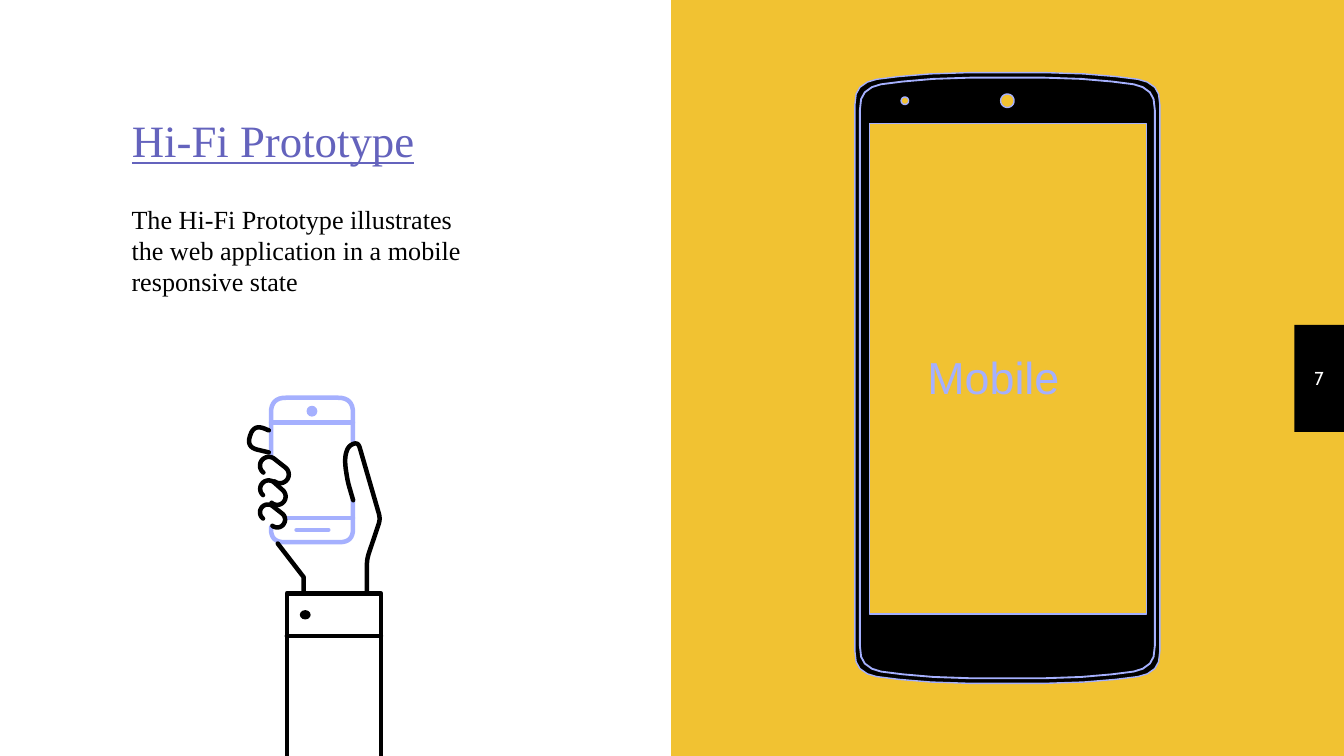
from math import atan2, cos, dist, pi, sin

from lxml.etree import SubElement
from pptx import Presentation
from pptx.dml.color import RGBColor
from pptx.enum.shapes import MSO_CONNECTOR as CONNECTOR, MSO_SHAPE as SHAPE
from pptx.enum.text import MSO_ANCHOR as ANCHOR, MSO_AUTO_SIZE as AUTO, PP_ALIGN as ALIGN
from pptx.oxml.ns import qn
from pptx.util import Pt

WIDTH, HEIGHT = 720, 405
YELLOW, BLACK, WHITE = "F1C232", "000000", "FFFFFF"
LAVENDER, PURPLE = "A5B0FE", "6463BD"
STROKE = 2.4
SERIF = "Times New Roman"

TITLE = "Hi-Fi Prototype"
DESCRIPTION = ("The Hi-Fi Prototype illustrates the web application "
               "in a mobile responsive state")
SCREEN_LABEL = "Mobile"
PAGE = "7"

# Upper right quarter of the phone: offset from its centre line, y
PHONE_X = 539.7
PHONE_QUARTER = [(0, 38.9), (20, 38.9), (41, 39.6), (58, 41), (70, 42.5),
                 (75, 44), (79, 46.8), (81, 50.4), (81.7, 56.2)]
SCREEN = [(465.8, 66.2), (614.2, 66.2), (614.2, 329), (465.8, 329)]
CAMERA, SENSOR = (539.7, 54, 3.6), (484.8, 54, 2)

# Strokes of the hand and its device: corner radius, points
DEVICE_TOP = [(8, [(145.2, 243.7), (145.2, 213.1), (189.1, 213.1), (189.1, 236.5)]),
              (0, [(145.2, 226.4), (189.1, 226.4)])]
DEVICE_BOTTOM = [(7, [(145.2, 282.5), (145.2, 290.5), (189.1, 290.5), (189.1, 268)]),
                 (0, [(153.4, 277.6), (189.1, 277.6)])]
INDEX_FINGER = (6, [(144, 230.6), (136, 227.3), (132, 239.5), (144, 242.4)])
FINGERS = [(144, 249.5, 150, 254.2, 4.7), (143.9, 261.9, 148.5, 266, 4.5),
           (143.5, 274.5, 148.5, 278.4, 4.2)]  # x1, y1, x2, y2, radius
ARM = [(0, [(148.8, 291.2), (162.7, 309.2), (162.7, 317.9)]),
       (3, [(196.6, 317.9), (196.6, 299.5), (203.8, 278), (191.9, 236.9),
            (187, 238.6), (185, 243.5), (184.9, 249), (186.3, 258), (189.2, 268)]),
       (0, [(153.7, HEIGHT), (153.7, 317.9), (204.1, 317.9), (204.1, HEIGHT)]),
       (0, [(153.7, 340.6), (204.1, 340.6)])]
DOTS = [(164.2, 217.4, 5.8, 5.8, LAVENDER), (160.6, 326.9, 5.8, 5, BLACK)]


def rgb(color):
    return RGBColor.from_string(color)


def arc(cx, cy, radius, start=0, sweep=2 * pi, steps=24):
    angles = [start + sweep * i / steps for i in range(steps + 1)]
    return [(cx + radius * cos(a), cy + radius * sin(a)) for a in angles]


def capsule(x1, y1, x2, y2, radius):
    a = atan2(y2 - y1, x2 - x1)
    return arc(x1, y1, radius, a + pi / 2, pi) + arc(x2, y2, radius, a - pi / 2, pi)


def rounded(radius, points):
    """Replace each inner corner of an open line by a sampled curve."""
    out = [points[0]]
    for a, b, c in zip(points, points[1:], points[2:]):
        (px, py), (qx, qy) = [
            [m + (n - m) * min(radius / dist(b, end), 0.5 if end not in
                               (points[0], points[-1]) else 1) for m, n in zip(b, end)]
            for end in (a, c)]
        for i in range(9):
            t = i / 8
            k, m, n = (1 - t) ** 2, 2 * t * (1 - t), t * t
            out.append((k * px + m * b[0] + n * qx, k * py + m * b[1] + n * qy))
    return out + [points[-1]]


def phone_outline(inset=0):
    side = [(x * (1 - inset / 81.7), y + inset) for x, y in PHONE_QUARTER]
    right = side + [(x, HEIGHT - y) for x, y in reversed(side)]
    return ([(PHONE_X + x, y) for x, y in right]
            + [(PHONE_X - x, y) for x, y in reversed(right)])


def paint(sp, fill=None, line=None, width=STROKE):
    sp.shadow.inherit = False
    if fill:
        sp.fill.solid()
        sp.fill.fore_color.rgb = rgb(fill)
    else:
        sp.fill.background()
    if line:
        stroke(sp, line, width)
    else:
        sp.line.fill.background()


def stroke(sp, color, width):
    sp.line.color.rgb = rgb(color)
    sp.line.width = Pt(width)
    ln = sp.line._get_or_add_ln()
    ln.set("cap", "rnd")
    SubElement(ln, qn("a:round"))


def outline(contours, closed=False, **style):
    """Draw several contours as one freeform, in hundredths of a point."""
    scaled = [[(x * 100, y * 100) for x, y in points] for points in contours]
    builder = s.shapes.build_freeform(*scaled[0][0], scale=Pt(1) / 100)
    for i, points in enumerate(scaled):
        if i:
            builder.move_to(*points[0])
        builder.add_line_segments(points[1:], close=closed)
    paint(builder.convert_to_shape(), **style)


def preset(kind, x, y, w, h, fill):
    sp = s.shapes.add_shape(kind, Pt(x), Pt(y), Pt(w), Pt(h))
    paint(sp, fill)


def write(sp, box, text, font, size, color, align=ALIGN.LEFT, anchor=ANCHOR.TOP, before=0):
    sp.left, sp.top, sp.width, sp.height = map(Pt, box)
    tf = sp.text_frame
    tf.word_wrap, tf.auto_size, tf.vertical_anchor = True, AUTO.NONE, anchor
    tf.margin_left = tf.margin_right = tf.margin_top = tf.margin_bottom = Pt(7.2)
    p = tf.paragraphs[0]
    p.text, p.alignment, p.space_before = text, align, Pt(before)
    p.font.name, p.font.size, p.font.color.rgb = font, Pt(size), rgb(color)
    return p


def text_box():
    return s.shapes.add_textbox(0, 0, 0, 0)


prs = Presentation()
prs.slide_width, prs.slide_height = Pt(WIDTH), Pt(HEIGHT)
s = prs.slides.add_slide(prs.slide_layouts[1])
s.background.fill.solid()
s.background.fill.fore_color.rgb = rgb(YELLOW)
title, label = s.placeholders

preset(SHAPE.RECTANGLE, 693.4, 174, 26.6, 57.4, BLACK)
preset(SHAPE.RECTANGLE, 0, 0, 359.5, HEIGHT, WHITE)

outline([phone_outline(), SCREEN, arc(*CAMERA), arc(*SENSOR)], closed=True,
        fill=BLACK, line=LAVENDER, width=0.75)
outline([phone_outline(2.7)], closed=True, line=LAVENDER, width=1)

for part in (DEVICE_TOP, DEVICE_BOTTOM):
    outline([rounded(*line) for line in part], line=LAVENDER)
speaker = s.shapes.add_connector(CONNECTOR.STRAIGHT, Pt(158.9), Pt(283.9), Pt(175.9), Pt(283.9))
stroke(speaker, LAVENDER, STROKE)
SubElement(speaker.element.spPr, qn("a:effectLst"))
outline([rounded(*INDEX_FINGER)] + [capsule(*finger) for finger in FINGERS], line=BLACK)
outline([rounded(*line) for line in ARM], line=BLACK)
for *box, color in DOTS:
    preset(SHAPE.OVAL, *box, color)

# Placeholders go in front of the panels
for sp in (title, label):
    s.shapes.element.append(sp.element)
p = write(title, (63.4, 53.3, 209.5, 57.6), TITLE, SERIF, 24, PURPLE, before=6)
p.font.underline = True
p = write(label, (489.6, 180, 100, 45.4), SCREEN_LABEL, "Arial", 24, LAVENDER, before=6)
pPr = p._p.get_or_add_pPr()
pPr.set("marL", "0")
pPr.set("indent", "0")
pPr.insert_element_before(pPr.makeelement(qn("a:buNone")), "a:tabLst", "a:defRPr", "a:extLst")
write(text_box(), (693.4, 173.5, 26.6, 57.6), PAGE, "Cabin", 10, WHITE,
      ALIGN.CENTER, ANCHOR.MIDDLE)
write(text_box(), (63.4, 101.5, 206.6, 65.5), DESCRIPTION, SERIF, 14, BLACK)

prs.save("out.pptx")
